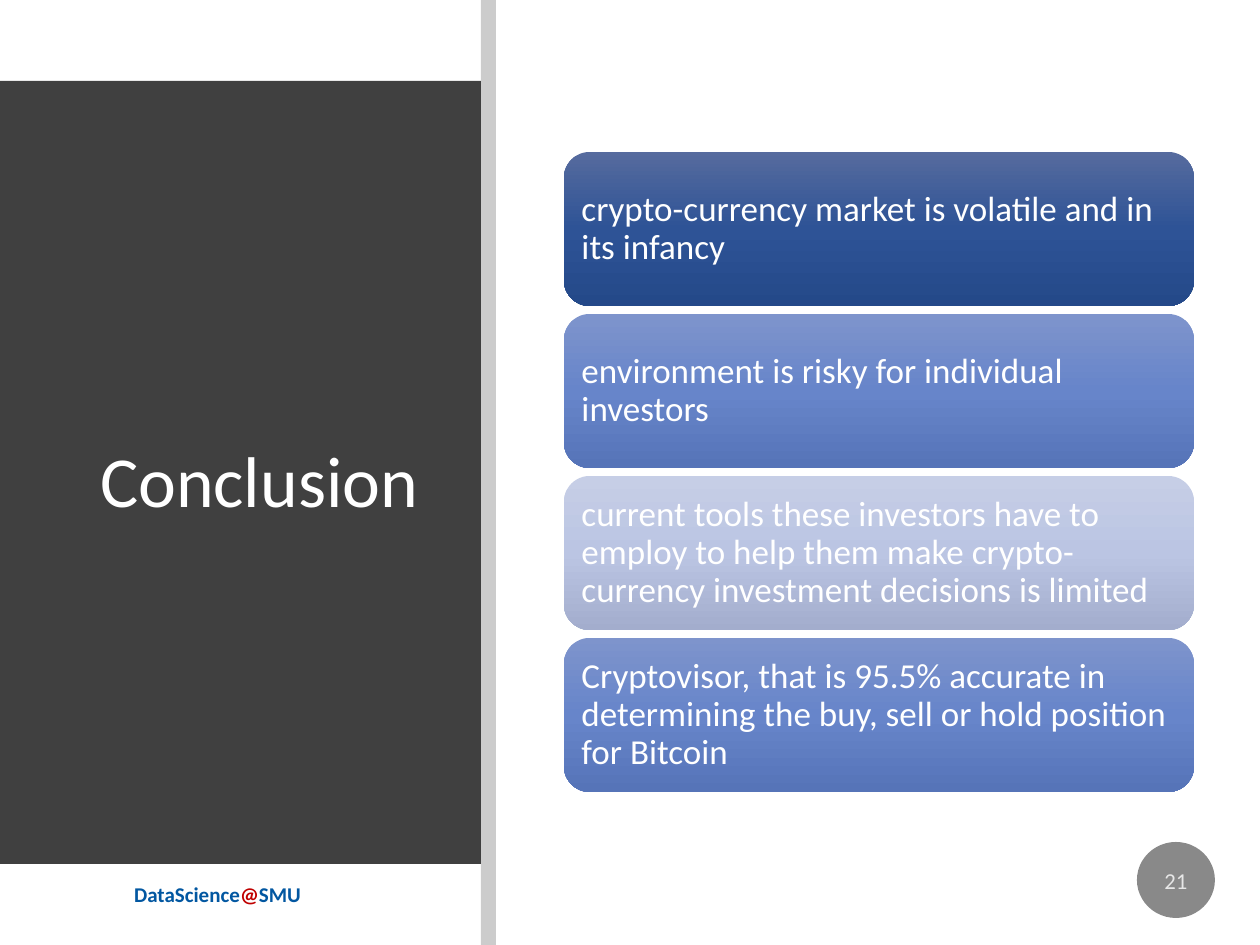
import copy
import dataclasses

import pptx
import pptx.dml.color
import pptx.enum.shapes
import pptx.enum.text
import pptx.oxml
import pptx.oxml.ns
import pptx.util

SHAPE = pptx.enum.shapes.MSO_SHAPE
ALIGN = pptx.enum.text.PP_ALIGN
ANCHOR = pptx.enum.text.MSO_ANCHOR
EMU_PER_PX = 914400 / 126


@dataclasses.dataclass(frozen=True)
class Theme:
    font: str = "Calibri"
    white: str = "FFFFFF"
    panel: str = "404040"
    divider: str = "000000"
    badge: str = "898989"
    brand_blue: str = "0257A1"
    brand_red: str = "C00000"
    dark_card: tuple = ("566B9E", "2E5396", "244989")
    mid_card: tuple = ("7E94CC", "6785CA", "5674B8")
    pale_card: tuple = ("C6CEE6", "BBC5E3", "A3ADCD")
    title_size: int = 41
    card_size: int = 20
    badge_size: int = 13
    footer_size: int = 12


THEME = Theme()

CARDS = [
    ("crypto-currency market is volatile and in its infancy", THEME.dark_card),
    ("environment is risky for individual investors", THEME.mid_card),
    ("current tools these investors have to employ to help them make "
     "crypto-currency investment decisions is limited", THEME.pale_card),
    ("Cryptovisor, that is 95.5% accurate in determining the buy, sell or "
     "hold position for Bitcoin", THEME.mid_card),
]


def px(length):
    return pptx.util.Emu(round(length * EMU_PER_PX))


def rgb(value):
    return pptx.dml.color.RGBColor.from_string(value)


def set_opacity(element, percent):
    """Give every colour inside the element an alpha value."""
    for color in element.iter(pptx.oxml.ns.qn("a:srgbClr")):
        alpha = color.makeelement(pptx.oxml.ns.qn("a:alpha"), {"val": str(percent * 1000)})
        color.append(alpha)


def write_text(shape, runs, size, bold=False, align=ALIGN.LEFT, anchor=ANCHOR.MIDDLE,
               line_spacing=1.0, insets=(13, 6), opacity=100):
    """Fill a shape with one paragraph of (text, colour) runs."""
    frame = shape.text_frame
    frame.word_wrap = True
    frame.auto_size = pptx.enum.text.MSO_AUTO_SIZE.NONE
    frame.vertical_anchor = anchor
    frame.margin_left = frame.margin_right = px(insets[0])
    frame.margin_top = frame.margin_bottom = px(insets[1])
    paragraph = frame.paragraphs[0]
    paragraph.alignment = align
    paragraph.line_spacing = line_spacing
    for text, color in runs:
        run = paragraph.add_run()
        run.text = text
        run.font.name = THEME.font
        run.font.size = pptx.util.Pt(size)
        run.font.bold = bold
        run.font.color.rgb = rgb(color)
    if opacity < 100:
        set_opacity(frame._txBody, opacity)


def add_shape(slide, kind, left, top, width, height, color=None, opacity=100):
    shape = slide.shapes.add_shape(kind, px(left), px(top), px(width), px(height))
    shape.shadow.inherit = False
    shape.line.fill.background()
    if color:
        shape.fill.solid()
        shape.fill.fore_color.rgb = rgb(color)
    if opacity < 100:
        set_opacity(shape.element.spPr, opacity)
    return shape


def fill_gradient(shape, colors):
    """Run three evenly spaced colours from top to bottom."""
    shape.fill.gradient()
    shape.fill.gradient_angle = 270
    first = shape.element.spPr.find(".//" + pptx.oxml.ns.qn("a:gs"))
    first.addnext(copy.deepcopy(first))
    for index, (stop, color) in enumerate(zip(shape.fill.gradient_stops, colors)):
        stop.position = index / 2
        stop.color.rgb = rgb(color)


def add_card(slide, index, text, colors):
    height, gap = 154, 8
    card = add_shape(slide, SHAPE.ROUNDED_RECTANGLE,
                     564, 152 + index * (height + gap), 630, height)
    fill_gradient(card, colors)
    write_text(card, [(text, THEME.white)], THEME.card_size,
               line_spacing=0.9, insets=(10, 10))


def add_title(slide, text, panel):
    title = slide.shapes.title
    title.left, title.top, title.width, title.height = px(87), px(112), px(345), px(745)
    panel.element.addnext(title.element)
    write_text(title, [(text, THEME.white)], THEME.title_size, line_spacing=0.9)


def add_footer(slide):
    footer = slide.shapes.add_textbox(px(87), px(876), px(261), px(67))
    runs = [("DataScience", THEME.brand_blue), ("@", THEME.brand_red),
            ("SMU", THEME.brand_blue)]
    write_text(footer, runs, THEME.footer_size, bold=True,
               align=ALIGN.CENTER, anchor=ANCHOR.TOP)


def add_page_badge(slide, number):
    badge = add_shape(slide, SHAPE.OVAL, 1137, 842, 78, 76, THEME.badge)
    write_text(badge, [(number, THEME.white)], THEME.badge_size,
               align=ALIGN.CENTER, insets=(0, 0), opacity=80)


def main():
    presentation = pptx.Presentation()
    presentation.slide_width, presentation.slide_height = px(1260), px(945)
    slide = presentation.slides.add_slide(presentation.slide_layouts[5])

    # Left side: footer, title panel and divider
    add_footer(slide)
    panel = add_shape(slide, SHAPE.RECTANGLE, 0, 81, 481, 783, THEME.panel)
    add_title(slide, "Conclusion", panel)
    add_shape(slide, SHAPE.RECTANGLE, 481, 0, 15, 945, THEME.divider, opacity=20)

    # Right side: stacked conclusions and page number
    for index, (text, colors) in enumerate(CARDS):
        add_card(slide, index, text, colors)
    add_page_badge(slide, "21")

    presentation.save("out.pptx")


if __name__ == "__main__":
    main()
